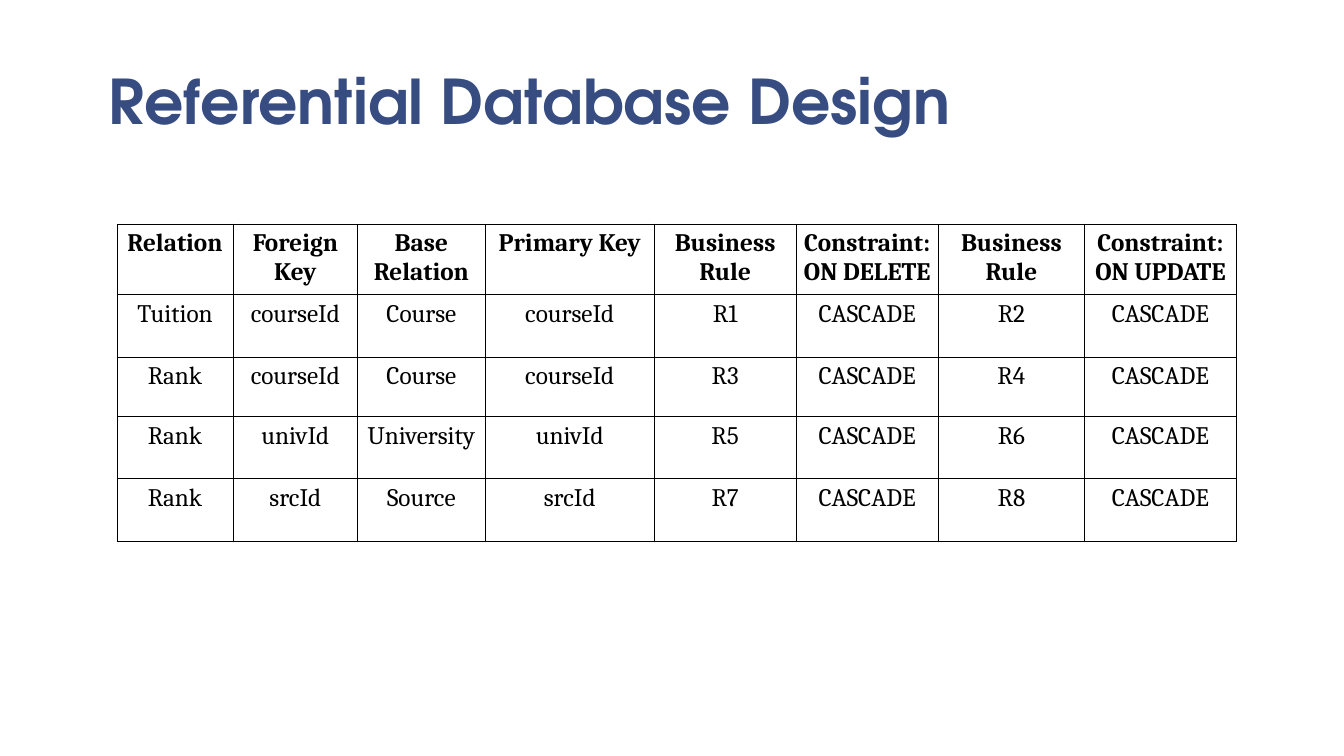
from lxml.etree import SubElement
from pptx import Presentation
from pptx.dml.color import RGBColor
from pptx.enum.text import MSO_ANCHOR as Anchor, PP_ALIGN as Align
from pptx.oxml.ns import qn
from pptx.util import Pt

theme = {
    "title_color": "374C81",
    "ink": "000000",
    "title_font": "TeX Gyre Adventor",
    "table_font": "Cambria",
    "title_size": 44,
    "table_size": 18,
    "border": 0.5,
}


def write(frame, text, *, font, size, color, bold, align, anchor, inset, spacing=1.0):
    frame.word_wrap = True
    frame.vertical_anchor = anchor
    frame.margin_left = frame.margin_right = Pt(inset[0])
    frame.margin_top = frame.margin_bottom = Pt(inset[1])
    para = frame.paragraphs[0]
    para.text = text
    para.alignment = align
    para.line_spacing = spacing
    for span in para.runs:
        span.font.name = font
        span.font.size = Pt(size)
        span.font.bold = bold
        span.font.color.rgb = RGBColor.from_string(color)


def draw_borders(cell):
    properties = cell._tc.get_or_add_tcPr()
    for side in ("a:lnL", "a:lnR", "a:lnT", "a:lnB"):
        line = SubElement(properties, qn(side), w=str(Pt(theme["border"])))
        fill = SubElement(line, qn("a:solidFill"))
        SubElement(fill, qn("a:srgbClr"), val=theme["ink"])


deck = Presentation()
deck.slide_width, deck.slide_height = Pt(960), Pt(540)
page = deck.slides.add_slide(deck.slide_layouts[6])

box = page.shapes.add_textbox(Pt(68.4), Pt(-7.2), Pt(800), Pt(110))
write(box.text_frame, "Referential Database Design", font=theme["title_font"],
      size=theme["title_size"], color=theme["title_color"], bold=True,
      align=Align.LEFT, anchor=Anchor.BOTTOM, inset=(9.36, 5.04), spacing=0.85)

header = ["Relation", "Foreign Key", "Base Relation", "Primary Key",
          "Business Rule", "Constraint:\vON DELETE",
          "Business Rule", "Constraint:\vON UPDATE"]
references = [
    ("Tuition", "courseId", "Course"),
    ("Rank", "courseId", "Course"),
    ("Rank", "univId", "University"),
    ("Rank", "srcId", "Source"),
]
rows = [header]
for index, (relation, key, base) in enumerate(references):
    rows.append([relation, key, base, key,
                 f"R{2 * index + 1}", "CASCADE", f"R{2 * index + 2}", "CASCADE"])

widths = [83, 89, 91, 121, 101, 102, 104, 109]
heights = [48.5, 44.5, 42.5, 44.5, 44.5]
table = page.shapes.add_table(len(rows), len(widths), Pt(83.5), Pt(160),
                              Pt(sum(widths)), Pt(sum(heights))).table
table.first_row = table.horz_banding = False
for column, width in zip(table.columns, widths):
    column.width = Pt(width)
for row, height in zip(table.rows, heights):
    row.height = Pt(height)

for row_index, values in enumerate(rows):
    for column_index, value in enumerate(values):
        cell = table.cell(row_index, column_index)
        draw_borders(cell)
        cell.fill.background()
        write(cell.text_frame, value, font=theme["table_font"],
              size=theme["table_size"], color=theme["ink"], bold=row_index == 0,
              align=Align.CENTER, anchor=Anchor.TOP, inset=(1.44, 3.6))
        cell.margin_left = cell.margin_right = Pt(1.44)
        cell.margin_top = cell.margin_bottom = Pt(3.6)
        cell.vertical_anchor = Anchor.TOP

deck.save("out.pptx")
